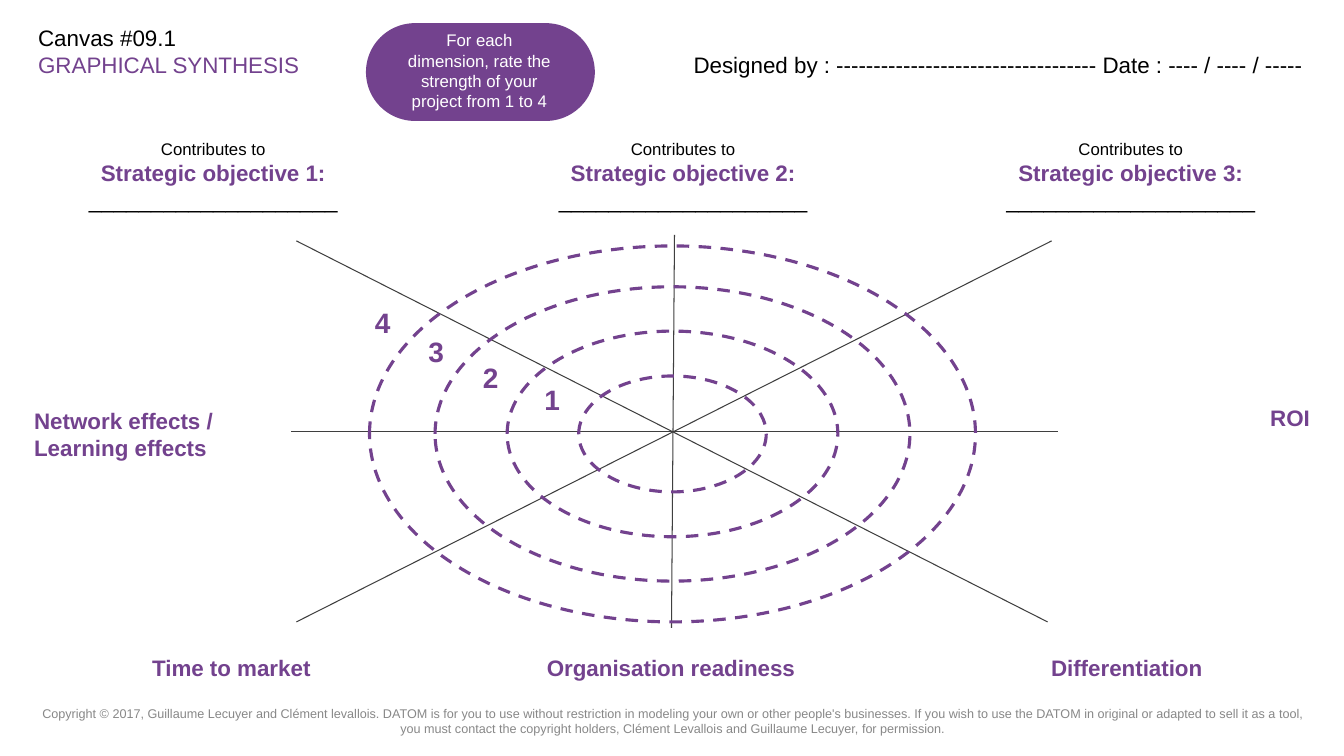
from dataclasses import dataclass
from typing import NamedTuple

import pptx
import pptx.dml.color
import pptx.enum.dml
import pptx.enum.shapes
import pptx.enum.text
import pptx.oxml
import pptx.oxml.ns
import pptx.shapes.autoshape
import pptx.slide
import pptx.util

SLIDE_WIDTH = pptx.util.Inches(13.33)
SLIDE_HEIGHT = pptx.util.Inches(7.5)
COLUMN = SLIDE_WIDTH / 133.3
ROW = SLIDE_HEIGHT / 75

FONT = "Arial"
PURPLE, BLACK, WHITE = "73428E", "000000", "FFFFFF"
SPOKE_GREY, FOOTER_GREY = "3F3F3F", "888888"

ALIGN = pptx.enum.text.PP_ALIGN
ANCHOR = pptx.enum.text.MSO_ANCHOR
SHAPE = pptx.enum.shapes.MSO_SHAPE


class Area(NamedTuple):
    """A rectangle in grid columns and rows."""
    left: float
    top: float
    width: float
    height: float


class Line(NamedTuple):
    text: str
    size: float = 16
    color: str = PURPLE
    bold: bool = True


@dataclass(frozen=True)
class Label:
    area: Area
    lines: tuple[Line, ...]
    align: ALIGN = ALIGN.CENTER
    anchor: ANCHOR = ANCHOR.TOP
    top_inset: float = 0.5
    spacing: float = 1


@dataclass(frozen=True)
class Ring:
    """One rating level: its ellipse and the corner of its number."""
    level: int
    width: float
    height: float
    number_left: float
    number_top: float


class Spoke(NamedTuple):
    x1: float
    y1: float
    x2: float
    y2: float


CENTER_X, CENTER_Y = 66.7, 43.05
RINGS = (
    Ring(1, 18.6, 11.5, 53, 37.5),
    Ring(2, 32.8, 20.4, 46.9, 35.3),
    Ring(3, 47.1, 29.2, 41.5, 32.7),
    Ring(4, 60.1, 37.3, 36.2, 29.8),
)
SPOKES = (
    Spoke(29.4, 23.9, 103.9, 61.7),
    Spoke(29.4, 61.7, 104.3, 23.9),
    Spoke(66.9, 23.3, 66.6, 62.3),
    Spoke(28.9, 42.8, 104.9, 42.8),
)
BUBBLE = Area(36.3, 2.3, 22.7, 9.7)
LABEL_WIDTH = 37.5
OBJECTIVE_LEFTS = (2.4, 49, 93.4)
BOTTOM_LABELS = ((4.2, "Time to market"), (47.8, "Organisation readiness"),
                 (93, "Differentiation"))

COPYRIGHT = (
    "Copyright © 2017, Guillaume Lecuyer and Clément levallois. DATOM is for you to use "
    "without restriction in modeling your own or other people's businesses. If you wish to "
    "use the DATOM in original or adapted to sell it as a tool, you must contact the "
    "copyright holders, Clément Levallois and Guillaume Lecuyer, for permission."
)

LABELS = (
    Label(Area(3.1, 68.7, 127.2, 5.6), (Line(COPYRIGHT, 9, FOOTER_GREY, False),),
          anchor=ANCHOR.MIDDLE),
    Label(Area(2.8, 1.4, 63.9, 4.4),
          (Line("Canvas #09.1", color=BLACK, bold=False),
           Line("GRAPHICAL SYNTHESIS", bold=False)),
          align=ALIGN.LEFT, top_inset=1),
    Label(Area(67.8, 1.4, 63.9, 4.4),
          (Line("Designed by : ----------------------------------- "
                "Date : ---- / ---- / -----", color=BLACK, bold=False),),
          align=ALIGN.LEFT, top_inset=1, spacing=2),
    Label(Area(39.1, 2.5, 16.9, 9.1),
          (Line("For each dimension, rate the strength of your project from 1 to 4",
                12, WHITE, False),)),
    *(Label(Area(left, 13.3, LABEL_WIDTH, 8.4),
            (Line("Contributes to", 12, BLACK, False),
             Line(f"Strategic objective {number}:"),
             Line("_" * 20, color=BLACK, bold=False)))
      for number, left in enumerate(OBJECTIVE_LEFTS, start=1)),
    Label(Area(2.4, 39.9, LABEL_WIDTH, 6.4),
          (Line("Network effects /"), Line("Learning effects")), align=ALIGN.LEFT),
    Label(Area(93.4, 39.6, LABEL_WIDTH, 6.4), (Line("ROI"),), align=ALIGN.RIGHT),
    *(Label(Area(left, 64.4, LABEL_WIDTH, 3.7), (Line(text),))
      for left, text in BOTTOM_LABELS),
    *(Label(Area(ring.number_left, ring.number_top, 3.5, 4.4),
            (Line(str(ring.level), 20),)) for ring in RINGS),
)


def rgb(color: str) -> pptx.dml.color.RGBColor:
    return pptx.dml.color.RGBColor.from_string(color)


def place(area: Area) -> tuple[int, int, int, int]:
    """Turn grid units into slide lengths."""
    return (round(area.left * COLUMN), round(area.top * ROW),
            round(area.width * COLUMN), round(area.height * ROW))


def write(para, text: str, *, size: float, color: str, bold: bool,
          align: ALIGN, spacing: float) -> None:
    para.alignment = align
    para.line_spacing = spacing
    span = para.add_run()
    span.text = text
    span.font.name = FONT
    span.font.size = pptx.util.Pt(size)
    span.font.bold = bold
    span.font.color.rgb = rgb(color)


def add_label(page: pptx.slide.Slide, label: Label) -> None:
    frame = page.shapes.add_textbox(*place(label.area)).text_frame
    frame.word_wrap = True
    frame.vertical_anchor = label.anchor
    frame.margin_left = frame.margin_right = round(COLUMN)
    frame.margin_top = frame.margin_bottom = round(label.top_inset * ROW)
    for index, line in enumerate(label.lines):
        para = frame.add_paragraph() if index else frame.paragraphs[0]
        write(para, line.text, size=line.size, color=line.color, bold=line.bold,
              align=label.align, spacing=label.spacing)


def add_bubble(page: pptx.slide.Slide) -> None:
    bubble = page.shapes.add_shape(SHAPE.ROUNDED_RECTANGLE, *place(BUBBLE))
    bubble.adjustments[0] = 0.5
    bubble.shadow.inherit = False
    bubble.fill.solid()
    bubble.fill.fore_color.rgb = rgb(PURPLE)
    bubble.line.fill.background()


def add_spoke(page: pptx.slide.Slide, spoke: Spoke) -> None:
    line = page.shapes.add_connector(
        pptx.enum.shapes.MSO_CONNECTOR.STRAIGHT,
        round(spoke.x1 * COLUMN), round(spoke.y1 * ROW),
        round(spoke.x2 * COLUMN), round(spoke.y2 * ROW))
    line.line.color.rgb = rgb(SPOKE_GREY)
    line.line.width = pptx.util.Pt(0.75)
    properties = line._element.spPr
    properties.append(pptx.oxml.parse_xml(
        f"<a:effectLst {pptx.oxml.ns.nsdecls('a')}/>"))


def add_ring(page: pptx.slide.Slide, ring: Ring) -> None:
    area = Area(CENTER_X - ring.width / 2, CENTER_Y - ring.height / 2,
                ring.width, ring.height)
    ellipse = page.shapes.add_shape(SHAPE.OVAL, *place(area))
    ellipse.shadow.inherit = False
    ellipse.fill.background()
    ellipse.line.color.rgb = rgb(PURPLE)
    ellipse.line.width = pptx.util.Pt(2.25)
    ellipse.line.dash_style = pptx.enum.dml.MSO_LINE.DASH


def main() -> None:
    deck = pptx.Presentation()
    deck.slide_width, deck.slide_height = SLIDE_WIDTH, SLIDE_HEIGHT
    page = deck.slides.add_slide(deck.slide_layouts[6])
    add_bubble(page)
    for spoke in SPOKES:
        add_spoke(page, spoke)
    for ring in RINGS:
        add_ring(page, ring)
    for label in LABELS:
        add_label(page, label)
    deck.save("out.pptx")


if __name__ == "__main__":
    main()
